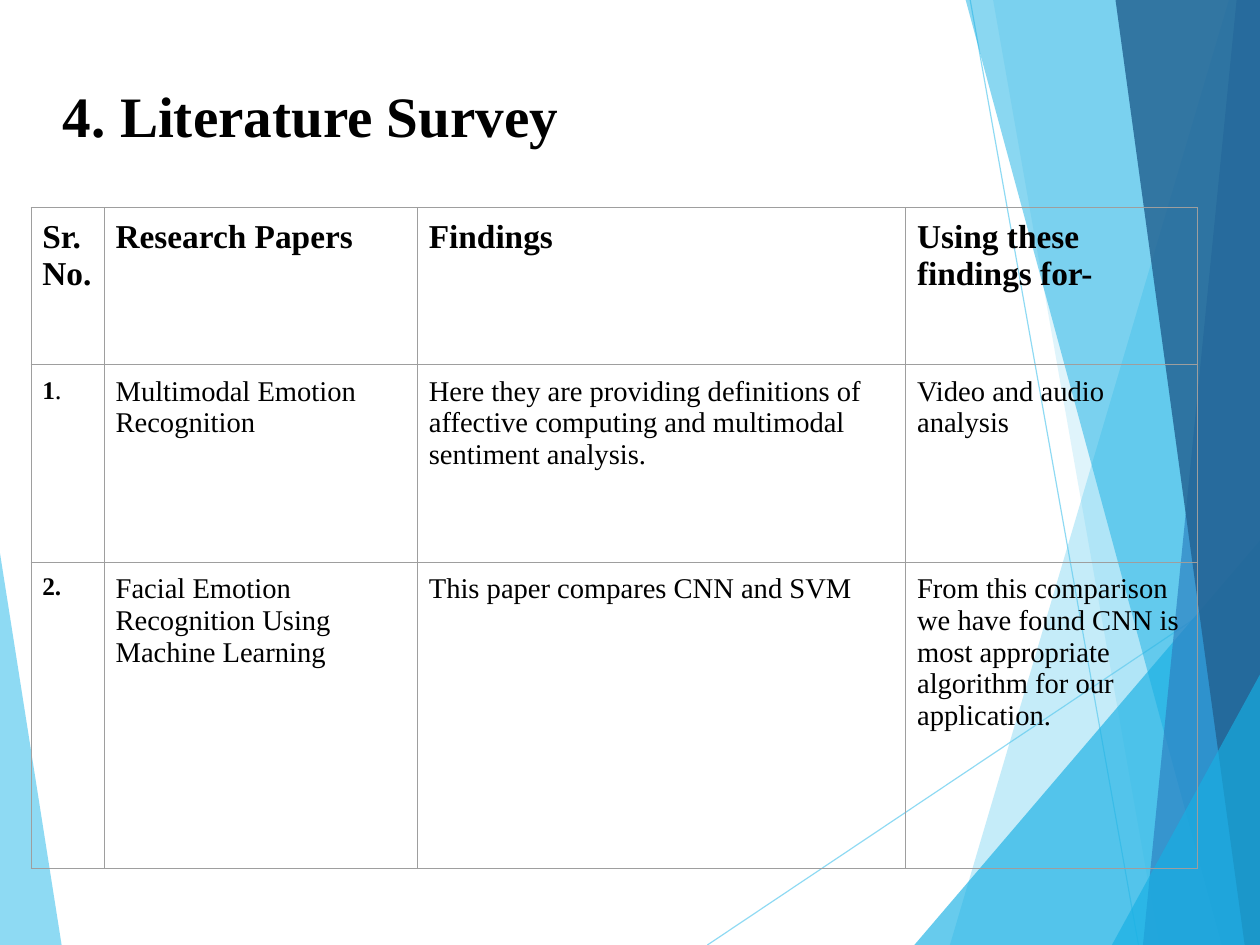
from dataclasses import dataclass

from lxml.etree import SubElement
from pptx import Presentation
from pptx.dml.color import RGBColor
from pptx.enum.shapes import MSO_CONNECTOR
from pptx.enum.text import MSO_ANCHOR
from pptx.oxml.ns import qn
from pptx.util import Cm, Pt

WIDTH, HEIGHT = 28, 21  # cm


@dataclass(frozen=True)
class Theme:
    """Colours, font and type sizes of the slide."""
    font: str = "Times New Roman"
    text: str = "000000"
    border: str = "9E9E9E"
    sky: str = "5FCBEF"
    cyan: str = "17B0E4"
    blue: str = "2E83C3"
    navy: str = "236292"
    title: float = 36
    head: float = 21
    body: float = 18
    number: float = 16
    dot: float = 17
    hairline: float = 0.75


T = Theme()

TITLE = "4. Literature Survey"
HEADERS = ["Sr. No.", "Research Papers", "Findings", "Using these findings for-"]
PAPERS = [
    ("Multimodal Emotion Recognition",
     "Here they are providing definitions of affective computing and "
     "multimodal sentiment analysis.",
     "Video and audio analysis"),
    ("Facial Emotion Recognition Using Machine Learning",
     "This paper compares CNN and SVM",
     "From this comparison we have found CNN is most appropriate "
     "algorithm for our application."),
]
# Each number is a list of runs: text, size, bold
NUMBERS = [
    [("1", T.number, True), (".", T.dot, False)],
    [("2.", T.number, True)],
]
COL_WIDTHS = [1.63, 6.96, 10.85, 6.48]
ROW_HEIGHTS = [3.48, 4.39, 6.81]
TABLE_LEFT, TABLE_TOP, CELL_MARGIN = 0.69, 4.62, 0.25


def band(top, bottom):
    """Points of a full-height facet reaching the right edge."""
    return [(top, 0), (bottom, HEIGHT), (WIDTH, HEIGHT), (WIDTH, 0)]


def wedge(x, y):
    """Points of a triangle in the bottom right corner."""
    return [(x, HEIGHT), (WIDTH, y), (WIDTH, HEIGHT)]


LEFT_FACET = ([(0, 12.29), (1.37, HEIGHT), (0, HEIGHT)], T.sky, 70)
RAYS = [((15.72, HEIGHT), (WIDTH, 12.78)), ((21.56, 0), (25.3, HEIGHT))]
RAY_ALPHA = 70
RIGHT_FACETS = [
    (band(27.31, 21.11), T.sky, 36),
    (band(22.07, 25.76), T.sky, 20),
    (wedge(20.32, 12.01), T.cyan, 65),
    (band(21.46, 27.15), T.cyan, 50),
    (band(27.48, 25.4), T.blue, 70),
    (band(24.79, 27.66), T.navy, 82),
    (wedge(24.71, 14.99), T.cyan, 65),
]


def set_alpha(element, percent):
    """Make the first solid colour below an element translucent."""
    color = next(element.iter(qn("a:srgbClr")))
    SubElement(color, qn("a:alpha")).set("val", str(percent * 1000))


def add_facet(s, points, color, alpha):
    """Draw one translucent polygon."""
    start, *rest = [(Cm(x), Cm(y)) for x, y in points]
    builder = s.shapes.build_freeform(*start)
    builder.add_line_segments(rest, close=True)
    sp = builder.convert_to_shape()
    sp.shadow.inherit = False
    sp.fill.solid()
    sp.fill.fore_color.rgb = RGBColor.from_string(color)
    sp.line.fill.background()
    set_alpha(sp._element.spPr, alpha)


def add_ray(s, start, end):
    """Draw one thin translucent line."""
    ends = [Cm(v) for v in start + end]
    ray = s.shapes.add_connector(MSO_CONNECTOR.STRAIGHT, *ends)
    ray.line.color.rgb = RGBColor.from_string(T.sky)
    ray.line.width = Pt(T.hairline)
    sp_pr = ray._element.spPr
    set_alpha(sp_pr, RAY_ALPHA)
    SubElement(sp_pr, qn("a:effectLst"))


def add_runs(p, runs):
    """Add (text, size, bold) runs to a paragraph."""
    for text, size, bold in runs:
        r = p.add_run()
        r.text = text
        r.font.name = T.font
        r.font.size = Pt(size)
        r.font.bold = bold
        r.font.color.rgb = RGBColor.from_string(T.text)


def add_title(s):
    """Add the slide title."""
    box = s.shapes.add_textbox(Cm(1.4), Cm(0.84), Cm(25.2), Cm(3.5))
    tf = box.text_frame
    tf.word_wrap = True
    tf.vertical_anchor = MSO_ANCHOR.MIDDLE
    tf.margin_left = tf.margin_right = tf.margin_bottom = 0
    tf.margin_top = Cm(0.08)
    p = tf.paragraphs[0]
    p.line_spacing = 0.93
    add_runs(p, [(TITLE, T.title, True)])


def style_cell(cell):
    """Give a cell even margins, thin borders and no fill."""
    cell.margin_left = cell.margin_right = Cm(CELL_MARGIN)
    cell.margin_top = cell.margin_bottom = Cm(CELL_MARGIN)
    tc_pr = cell._tc.get_or_add_tcPr()
    for side in ("lnL", "lnR", "lnT", "lnB"):
        ln = SubElement(tc_pr, qn(f"a:{side}"), w=str(Pt(T.hairline)))
        fill = SubElement(ln, qn("a:solidFill"))
        SubElement(fill, qn("a:srgbClr"), val=T.border)
    cell.fill.background()


def add_survey_table(s):
    """Add the table of research papers."""
    rows = [[[(text, T.head, True)] for text in HEADERS]]
    for number, paper in zip(NUMBERS, PAPERS):
        rows.append([number] + [[(text, T.body, False)] for text in paper])
    frame = s.shapes.add_table(
        len(rows), len(HEADERS), Cm(TABLE_LEFT), Cm(TABLE_TOP),
        Cm(sum(COL_WIDTHS)), Cm(sum(ROW_HEIGHTS)))
    table = frame.table
    table.first_row = table.horz_banding = False
    for column, width in zip(table.columns, COL_WIDTHS):
        column.width = Cm(width)
    for row, height, contents in zip(table.rows, ROW_HEIGHTS, rows):
        row.height = Cm(height)
        for cell, runs in zip(row.cells, contents):
            style_cell(cell)
            add_runs(cell.text_frame.paragraphs[0], runs)


def main():
    """Build and save the slide."""
    prs = Presentation()
    prs.slide_width, prs.slide_height = Cm(WIDTH), Cm(HEIGHT)
    s = prs.slides.add_slide(prs.slide_layouts[6])
    add_facet(s, *LEFT_FACET)
    for start, end in RAYS:
        add_ray(s, start, end)
    for facet in RIGHT_FACETS:
        add_facet(s, *facet)
    add_title(s)
    add_survey_table(s)
    prs.save("out.pptx")


main()
